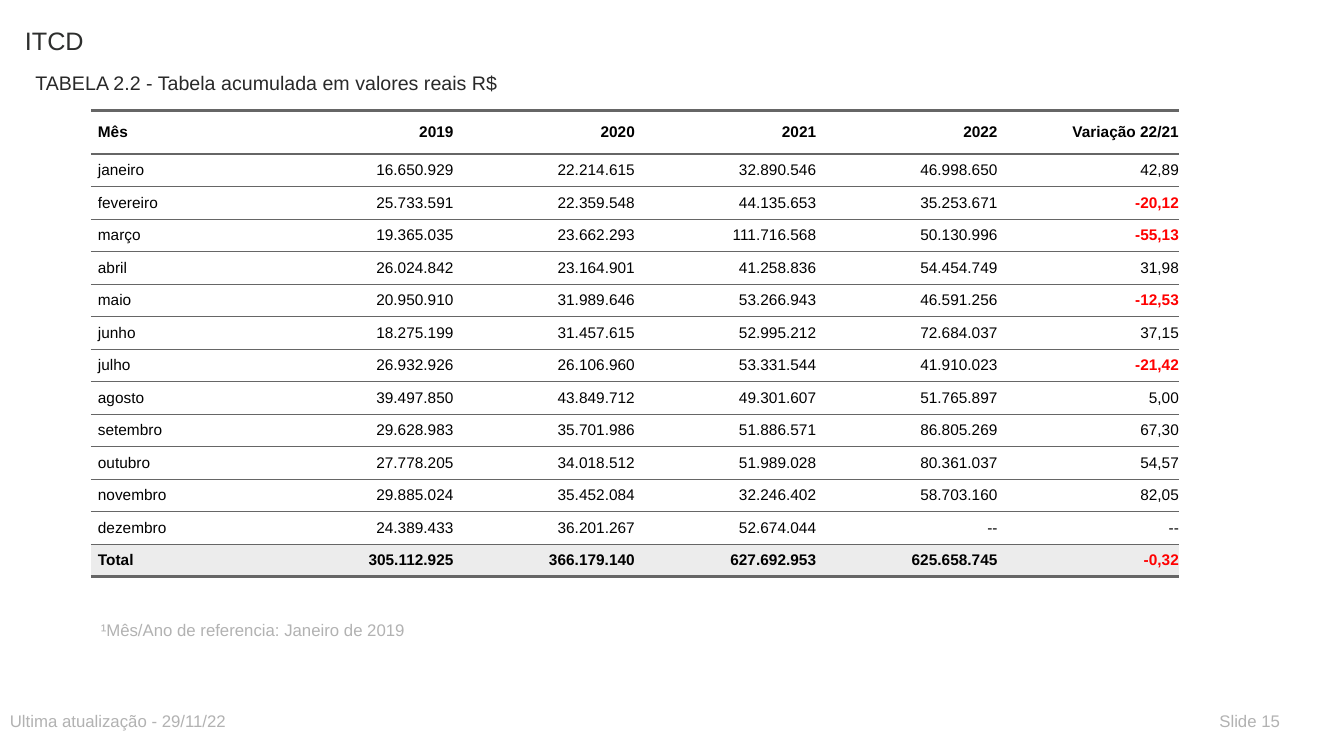
from pptx import Presentation
from pptx.dml.color import RGBColor
from pptx.enum.text import MSO_ANCHOR, PP_ALIGN
from pptx.oxml.ns import qn
from pptx.util import Cm, Pt
from lxml import etree

LEFT, RIGHT = PP_ALIGN.LEFT, PP_ALIGN.RIGHT
MIDDLE = MSO_ANCHOR.MIDDLE

COLORS = {
    "title": "2D2E2D",
    "subtitle": "292929",
    "muted": "B2B2B2",
    "text": "000000",
    "negative": "FF0000",
    "rule": "666666",
    "row": "FFFFFF",
    "total": "ECECEC",
}
THIN, THICK = 0.5, 2

HEADER = ["Mês", "2019", "2020", "2021", "2022", "Variação 22/21"]
MONTHS = [
    ["janeiro", "16.650.929", "22.214.615", "32.890.546", "46.998.650", "42,89"],
    ["fevereiro", "25.733.591", "22.359.548", "44.135.653", "35.253.671", "-20,12"],
    ["março", "19.365.035", "23.662.293", "111.716.568", "50.130.996", "-55,13"],
    ["abril", "26.024.842", "23.164.901", "41.258.836", "54.454.749", "31,98"],
    ["maio", "20.950.910", "31.989.646", "53.266.943", "46.591.256", "-12,53"],
    ["junho", "18.275.199", "31.457.615", "52.995.212", "72.684.037", "37,15"],
    ["julho", "26.932.926", "26.106.960", "53.331.544", "41.910.023", "-21,42"],
    ["agosto", "39.497.850", "43.849.712", "49.301.607", "51.765.897", "5,00"],
    ["setembro", "29.628.983", "35.701.986", "51.886.571", "86.805.269", "67,30"],
    ["outubro", "27.778.205", "34.018.512", "51.989.028", "80.361.037", "54,57"],
    ["novembro", "29.885.024", "35.452.084", "32.246.402", "58.703.160", "82,05"],
    ["dezembro", "24.389.433", "36.201.267", "52.674.044", "--", "--"],
]
TOTAL = ["Total", "305.112.925", "366.179.140", "627.692.953", "625.658.745", "-0,32"]


def rgb(name):
    """Return the named colour."""
    return RGBColor.from_string(COLORS[name])


def is_negative(value):
    """Tell a negative number from the '--' of a missing one."""
    return value.startswith("-") and value != "--"


class SlideBuilder:
    """Holds the style and the current slide."""

    font = "Arial"
    cell_size = 11
    padding = Pt(5)

    def __init__(self, slide):
        """Keep the slide to draw on."""
        self.slide = slide

    def style(self, p, size, color, bold=False):
        """Set the font of a paragraph."""
        p.font.name = self.font
        p.font.size = Pt(size)
        p.font.bold = bold
        p.font.color.rgb = rgb(color)

    def text(self, text, x, y, w, h, size, color):
        """Add a text box of one line."""
        tf = self.slide.shapes.add_textbox(Cm(x), Cm(y), Cm(w), Cm(h)).text_frame
        tf.word_wrap = True
        p = tf.paragraphs[0]
        p.text = text
        self.style(p, size, color)

    def borders(self, cell, top, bottom):
        """Draw rules above and below a cell, and none at its sides."""
        tc_pr = cell._tc.get_or_add_tcPr()
        widths = [("a:lnL", 0), ("a:lnR", 0), ("a:lnT", top), ("a:lnB", bottom)]
        for i, (tag, width) in enumerate(widths):
            ln = etree.Element(qn(tag), w=str(Pt(width)))
            if width:
                fill = etree.SubElement(ln, qn("a:solidFill"))
                etree.SubElement(fill, qn("a:srgbClr"), val=COLORS["rule"])
            else:
                etree.SubElement(ln, qn("a:noFill"))
            tc_pr.insert(i, ln)

    def cell(self, cell, value, align, bold, fill):
        """Fill and format one table cell."""
        cell.fill.solid()
        cell.fill.fore_color.rgb = rgb(fill)
        cell.vertical_anchor = MIDDLE
        cell.margin_left = cell.margin_right = 0
        cell.margin_top = cell.margin_bottom = self.padding
        p = cell.text_frame.paragraphs[0]
        p.text = value
        p.alignment = align
        p.space_before = p.space_after = self.padding
        p._p.get_or_add_pPr().set("marL", str(self.padding))
        negative = is_negative(value)
        self.style(p, self.cell_size, "negative" if negative else "text",
                   bold or negative)

    def table(self, rows, x, y, col_w, header_h, row_h):
        """Add a table whose first row is a header and last row a total."""
        n_rows, n_cols = len(rows), len(rows[0])
        last = n_rows - 1
        height = header_h + last * row_h
        table = self.slide.shapes.add_table(
            n_rows, n_cols, Cm(x), Cm(y), Cm(col_w * n_cols), Cm(height)).table
        table.first_row = table.horz_banding = False
        for col in table.columns:
            col.width = Cm(col_w)
        rules = [THICK, THICK] + [THIN] * (last - 1) + [THICK]
        for i, row in enumerate(rows):
            table.rows[i].height = Cm(row_h if i else header_h)
            for j, value in enumerate(row):
                cell = table.cell(i, j)
                self.cell(cell, value, RIGHT if j else LEFT, i in (0, last),
                          "total" if i == last else "row")
                self.borders(cell, rules[i], rules[i + 1])


def main():
    """Build the slide and save it."""
    prs = Presentation()
    prs.slide_width, prs.slide_height = Cm(33.87), Cm(19.05)
    s = SlideBuilder(prs.slides.add_slide(prs.slide_layouts[6]))
    s.text("ITCD", 0.38, 0.51, 20.32, 1.5, 18, "title")
    s.text("TABELA 2.2 - Tabela acumulada em valores reais R$",
           0.64, 1.65, 16.51, 0.76, 14, "subtitle")
    s.text("¹Mês/Ano de referencia: Janeiro de 2019",
           2.29, 15.49, 16.51, 0.76, 12, "muted")
    s.table([HEADER] + MONTHS + [TOTAL], 2.29, 2.79, 4.57, 1.09, 0.64)
    s.text("Ultima atualização - 29/11/22", 0, 17.78, 16.51, 0.76, 12, "muted")
    s.text("Slide 15", 30.48, 17.78, 2.29, 0.76, 12, "muted")
    prs.save("out.pptx")


main()
